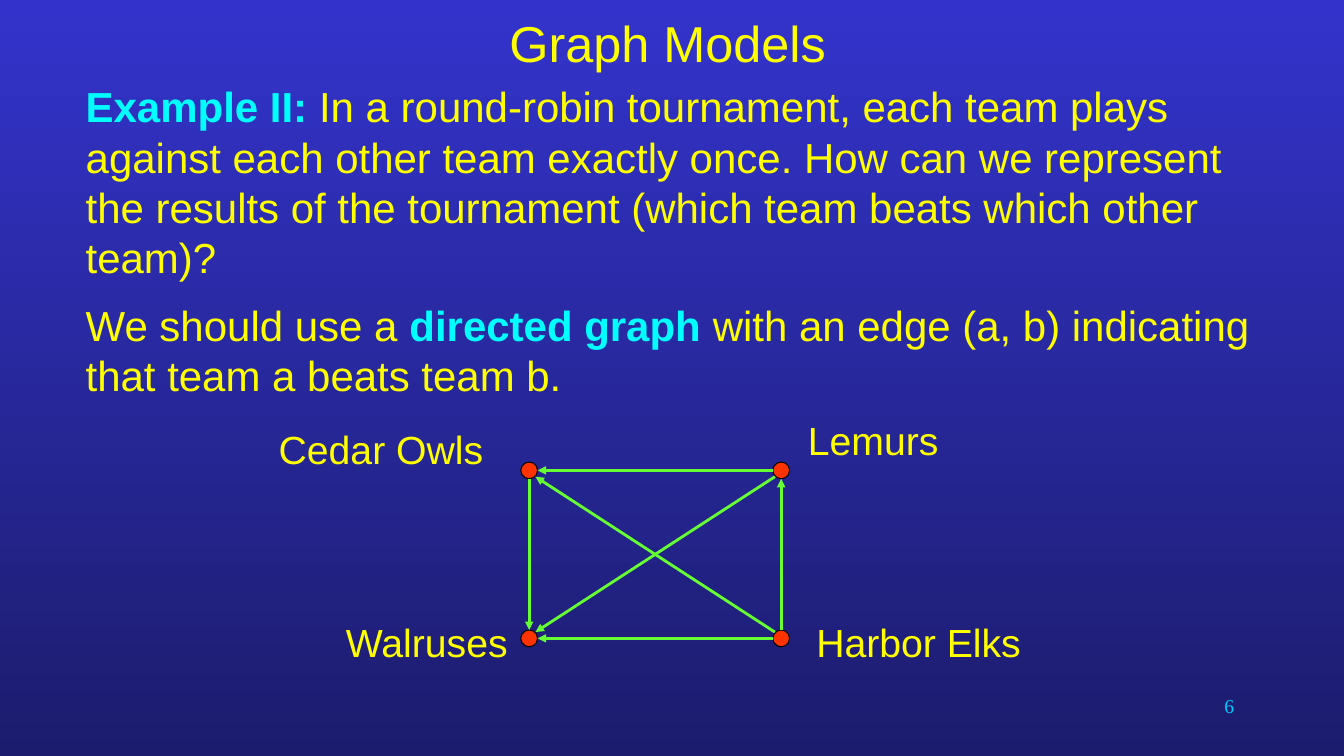
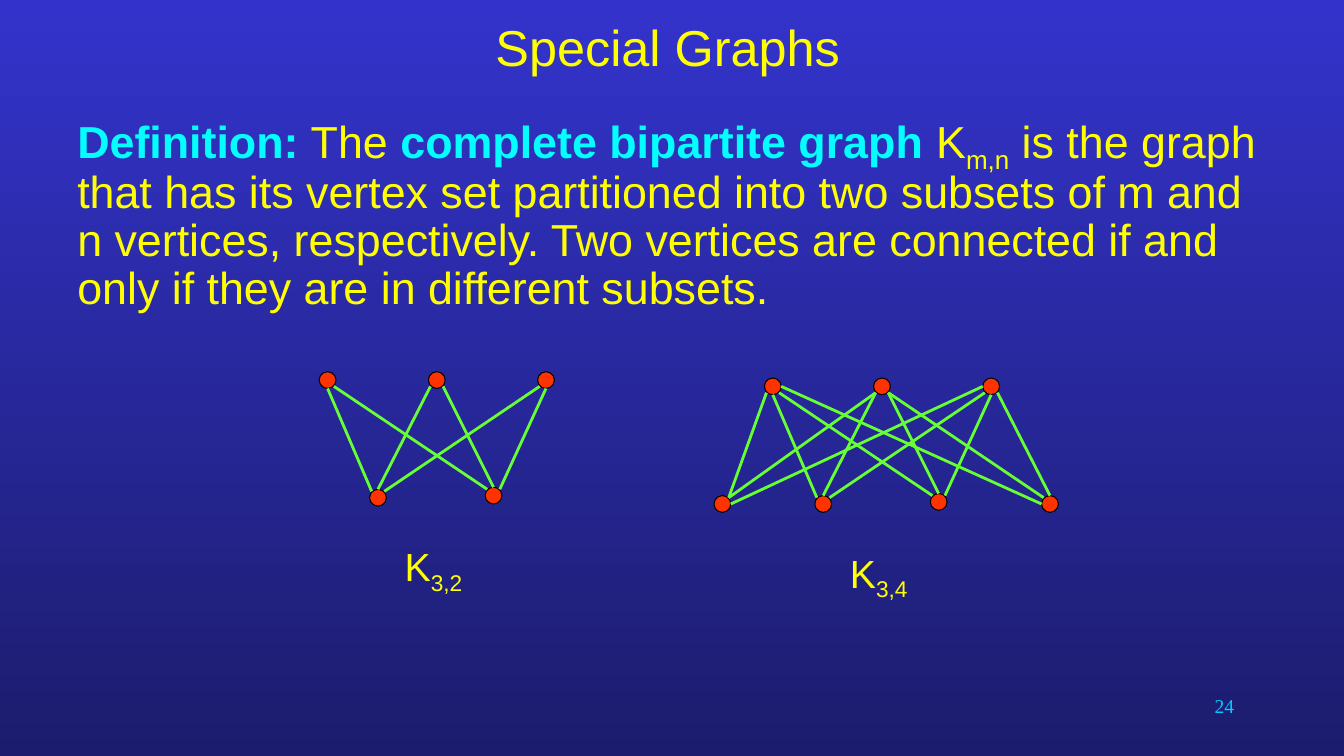
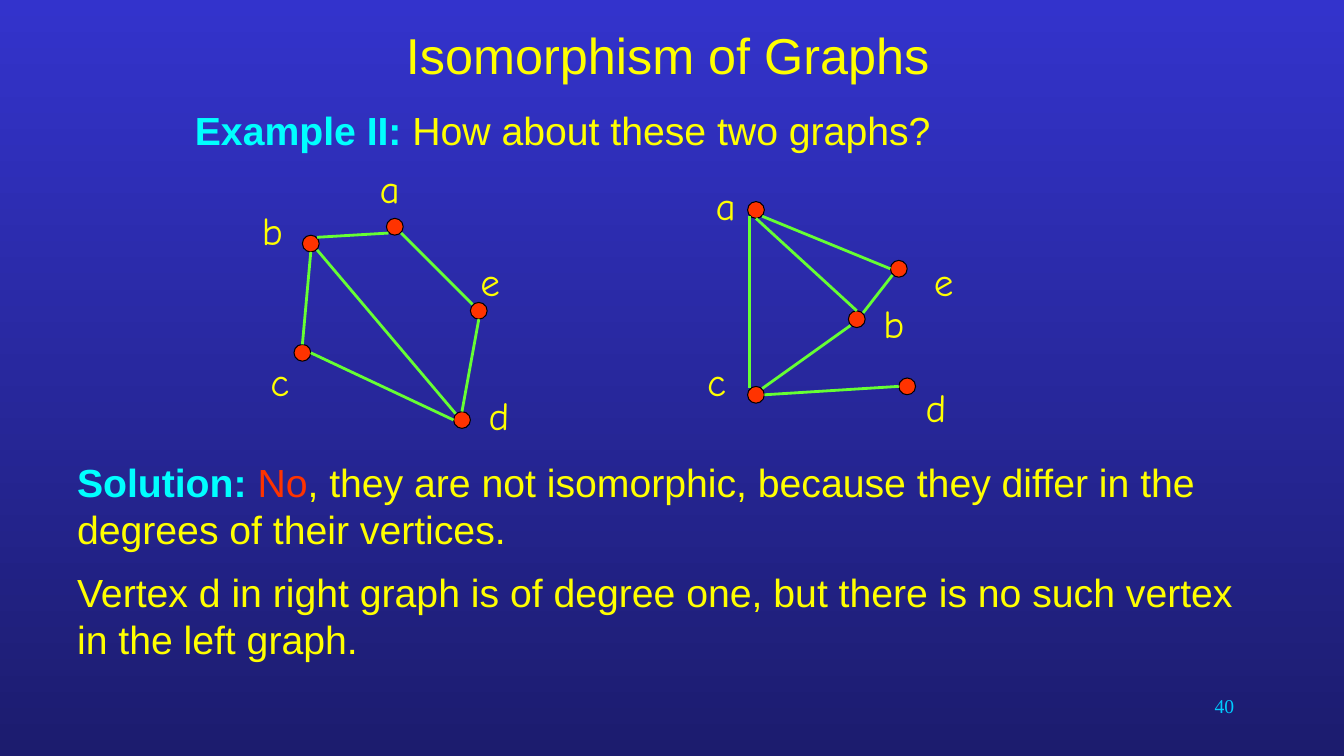
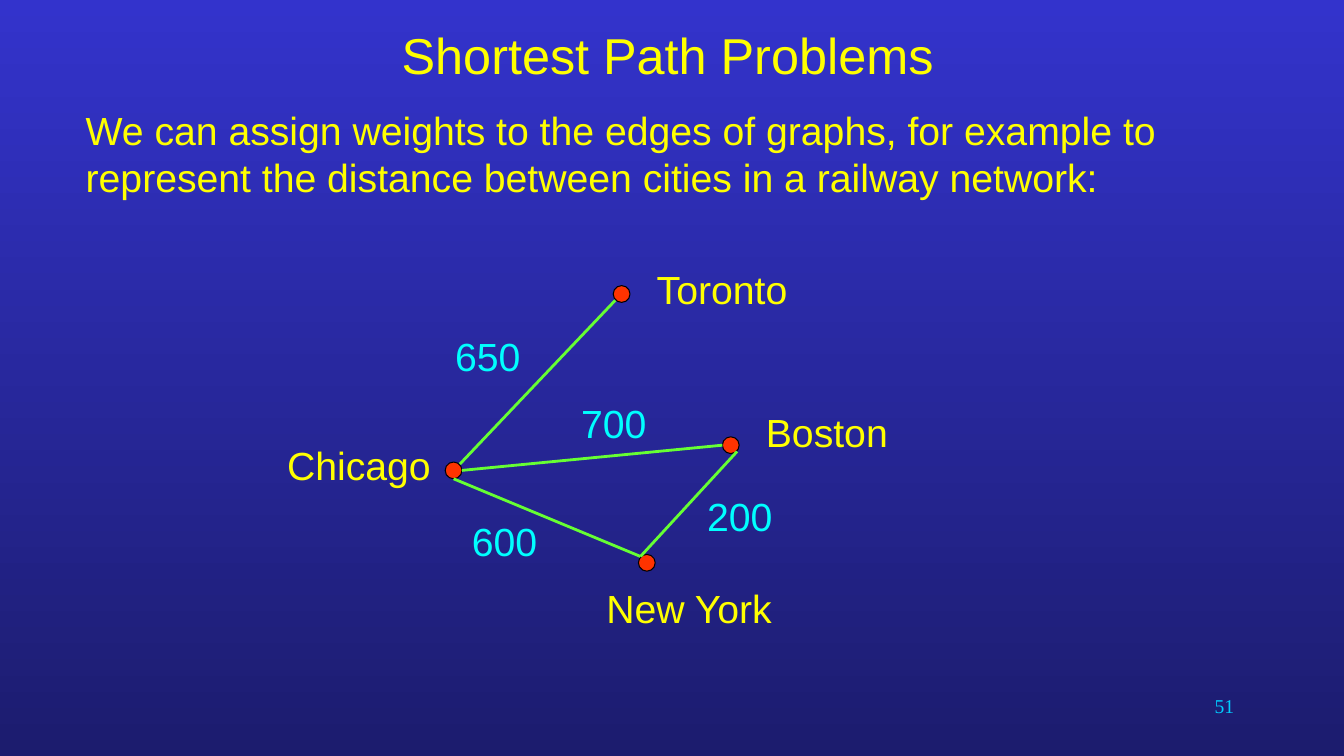
"""Build four slides on graph models, special graphs, isomorphism and shortest paths."""
from dataclasses import dataclass
from typing import NamedTuple

from lxml.etree import SubElement
from pptx import Presentation
from pptx.dml.color import RGBColor
from pptx.enum.shapes import MSO_CONNECTOR, MSO_SHAPE
from pptx.enum.text import MSO_ANCHOR, MSO_AUTO_SIZE, PP_ALIGN
from pptx.oxml.ns import qn
from pptx.slide import Slide
from pptx.text.text import Font, TextFrame
from pptx.util import Emu, Pt

LINE = MSO_CONNECTOR.STRAIGHT
DOT = MSO_SHAPE.FLOWCHART_CONNECTOR
MIDDLE, TOP = MSO_ANCHOR.MIDDLE, MSO_ANCHOR.TOP
LEFT, CENTER, RIGHT = PP_ALIGN.LEFT, PP_ALIGN.CENTER, PP_ALIGN.RIGHT
NO_FIT = MSO_AUTO_SIZE.NONE

SCALE = 9525
WIDTH, HEIGHT = 1280, 720
RADIUS, SLANT = 8, 6
LABEL_H = 55
LABEL_PT = 28
SANS, COMIC, SERIF = "Arial", "Comic Neue", "Times New Roman"

COLORS = {
    "sky": "3333CC",
    "night": "1C1C6E",
    "yellow": "FFFF00",
    "cyan": "00FFFF",
    "blue": "00CCFF",
    "red": "FF3300",
    "green": "66FF33",
    "black": "000000",
}

SIDES = {
    "N": (0, -RADIUS), "S": (0, RADIUS), "W": (-RADIUS, 0), "E": (RADIUS, 0),
    "NW": (-SLANT, -SLANT), "NE": (SLANT, -SLANT),
    "SW": (-SLANT, SLANT), "SE": (SLANT, SLANT),
}


class Box(NamedTuple):
    """A frame in px."""
    x: int
    y: int
    w: int
    h: int


class Run(NamedTuple):
    """A stretch of text in one style."""
    text: str
    color: str = "yellow"
    bold: bool = False
    sub: bool = False


class Edge(NamedTuple):
    """A line from one side of a dot to one side of another."""
    start: str
    out: str
    end: str
    into: str


class Label(NamedTuple):
    """A short text beside a graph."""
    text: str
    x: int
    y: int
    w: int
    color: str = "yellow"
    sub: str = ""


@dataclass(frozen=True)
class Graph:
    """Dots by name, the edges between them and their labels."""
    dots: dict[str, tuple[int, int]]
    edges: list[Edge]
    labels: list[Label]
    font: str = SANS
    arrows: bool = False


@dataclass(frozen=True)
class Block:
    """Body paragraphs in a frame."""
    box: Box
    size: int
    paras: list[list[Run]]
    spacing: float = 1.0


@dataclass(frozen=True)
class Page:
    """All that one slide shows."""
    title: str
    title_h: int
    number: int
    body: Block
    graphs: list[Graph]
    note: Block | None = None


def px(value: int) -> Emu:
    """Turn px into EMU."""
    return Emu(value * SCALE)


def rgb(name: str) -> RGBColor:
    """Look up a colour."""
    return RGBColor.from_string(COLORS[name])


def style(font: Font, face: str, size: int, color: str, bold: bool = False) -> None:
    """Set face, size, colour and weight."""
    font.name, font.size, font.bold = face, Pt(size), bold
    font.color.rgb = rgb(color)


def place(shape, box: Box) -> None:
    """Move and size a shape."""
    shape.left, shape.top, shape.width, shape.height = map(px, box)


def add_box(slide: Slide, box: Box) -> TextFrame:
    """Add a text box that wraps."""
    frame = slide.shapes.add_textbox(*map(px, box)).text_frame
    frame.word_wrap = True
    return frame


def add_runs(para, runs: list[Run], face: str, size: int) -> None:
    """Add styled runs to a paragraph."""
    for item in runs:
        run = para.add_run()
        run.text = item.text
        style(run.font, face, size, item.color, item.bold)
        if item.sub:
            run._r.get_or_add_rPr().set("baseline", "-25000")


def add_line(slide: Slide, text: str, box: Box, face: str, size: int, color: str,
             align: PP_ALIGN) -> None:
    """Add a one-line text box."""
    para = add_box(slide, box).paragraphs[0]
    para.text, para.alignment = text, align
    style(para.runs[0].font, face, size, color)


def set_title(slide: Slide, text: str, height: int) -> None:
    """Fill the title placeholder."""
    title = slide.shapes.title
    place(title, Box(184, 0, 904, height))
    frame = title.text_frame
    frame.text = text
    frame.auto_size, frame.vertical_anchor = NO_FIT, MIDDLE
    para = frame.paragraphs[0]
    para.alignment = CENTER
    style(para.runs[0].font, SANS, 36, "yellow")


def fill_block(frame: TextFrame, block: Block) -> None:
    """Write plain paragraphs without bullets."""
    frame.auto_size, frame.vertical_anchor = NO_FIT, TOP
    gap = Pt(block.size * 0.2)
    for index, runs in enumerate(block.paras):
        para = frame.add_paragraph() if index else frame.paragraphs[0]
        props = para._p.get_or_add_pPr()
        props.set("marL", "0")
        props.set("indent", "0")
        SubElement(props, qn("a:buNone"))
        para.alignment = LEFT
        para.line_spacing = block.spacing
        para.space_before = gap if index else Pt(0)
        para.space_after = gap
        add_runs(para, runs, SANS, block.size)


def add_dot(slide: Slide, x: int, y: int) -> None:
    """Draw a dot around its centre."""
    box = Box(x - RADIUS, y - RADIUS, 2 * RADIUS, 2 * RADIUS)
    dot = slide.shapes.add_shape(DOT, *map(px, box))
    dot.shadow.inherit = False
    dot.fill.solid()
    dot.fill.fore_color.rgb = rgb("red")
    dot.line.color.rgb = rgb("black")
    dot.line.width = Pt(0.75)


def add_edge(slide: Slide, graph: Graph, edge: Edge) -> None:
    """Draw one edge of a graph."""
    ends = []
    for name, side in ((edge.start, edge.out), (edge.end, edge.into)):
        ends += [px(a + b) for a, b in zip(graph.dots[name], SIDES[side])]
    link = slide.shapes.add_connector(LINE, *ends)
    link.line.color.rgb = rgb("green")
    link.line.width = Pt(2)
    if graph.arrows:
        SubElement(link.line._get_or_add_ln(), qn("a:tailEnd"), type="triangle")
    SubElement(link._element.spPr, qn("a:effectLst"))


def add_label(slide: Slide, label: Label, face: str) -> None:
    """Write a label with its subscript, if any."""
    frame = add_box(slide, Box(label.x, label.y, label.w, LABEL_H))
    runs = [Run(label.text, label.color)]
    if label.sub:
        runs.append(Run(label.sub, label.color, sub=True))
    add_runs(frame.paragraphs[0], runs, face, LABEL_PT)


def add_graph(slide: Slide, graph: Graph) -> None:
    """Draw dots, edges and labels."""
    for x, y in graph.dots.values():
        add_dot(slide, x, y)
    for edge in graph.edges:
        add_edge(slide, graph, edge)
    for label in graph.labels:
        add_label(slide, label, graph.font)


def add_page(deck, page: Page) -> None:
    """Build one slide."""
    slide = deck.slides.add_slide(deck.slide_layouts[1])
    set_title(slide, page.title, page.title_h)
    body = slide.placeholders[1]
    place(body, page.body.box)
    fill_block(body.text_frame, page.body)
    add_line(slide, str(page.number), Box(918, 656, 267, 48), SERIF, 14, "blue", RIGHT)
    for graph in page.graphs:
        add_graph(slide, graph)
    if page.note:
        fill_block(add_box(slide, page.note.box), page.note)


def set_back(deck) -> None:
    """Give the master its gradient."""
    fill = deck.slide_master.background.fill
    fill.gradient()
    fill.gradient_angle = 270
    for stop, name in zip(fill.gradient_stops, ("sky", "night")):
        stop.color.rgb = rgb(name)


def key(text: str) -> Run:
    """Mark a key term."""
    return Run(text, "cyan", True)


def core_dots(x: int, y: int) -> dict[str, tuple[int, int]]:
    """Place the five dots that both bipartite graphs share."""
    dots = {f"u{i + 1}": (x + 104 * i, y) for i in range(3)}
    return dots | {"v1": (x + 48, y + 112), "v2": (x + 158, y + 110)}


CORE = [
    Edge("u1", "S", "v1", "NW"), Edge("u2", "SW", "v1", "N"),
    Edge("v2", "NE", "u3", "S"), Edge("u3", "SW", "v1", "NE"),
    Edge("u1", "SE", "v2", "NW"), Edge("u2", "SE", "v2", "N"),
]
OUTER = [
    Edge("w1", "NE", "u1", "SW"), Edge("w1", "NE", "u2", "SW"),
    Edge("w1", "E", "u3", "W"), Edge("u1", "E", "w2", "W"),
    Edge("u2", "SE", "w2", "NW"), Edge("w2", "N", "u3", "SE"),
]

TEAMS = Graph(
    {"owls": (504, 448), "lemurs": (744, 448), "walrus": (504, 608), "stars": (744, 608)},
    [
        Edge("owls", "S", "walrus", "N"), Edge("lemurs", "W", "owls", "E"),
        Edge("lemurs", "SW", "walrus", "NE"), Edge("stars", "W", "walrus", "E"),
        Edge("stars", "NW", "owls", "SE"), Edge("stars", "N", "lemurs", "S"),
    ],
    [
        Label("Cedar Owls", 256, 400, 248), Label("Lemurs", 760, 392, 168),
        Label("Walruses", 320, 584, 176), Label("Harbor Elks", 768, 584, 288),
    ],
    arrows=True,
)

SMALL = Graph(core_dots(312, 362), CORE, [Label("K", 376, 512, 90, sub="3,2")])
LARGE = Graph(
    core_dots(736, 368) | {"w1": (688, 480), "w2": (1000, 480)},
    CORE + OUTER,
    [Label("K", 800, 518, 90, sub="3,4")],
)

FIRST = Graph(
    {"a": (376, 216), "b": (296, 232), "c": (288, 336), "d": (440, 400), "e": (456, 296)},
    [
        Edge("d", "N", "e", "S"), Edge("d", "W", "c", "E"), Edge("c", "N", "b", "S"),
        Edge("b", "NE", "a", "SW"), Edge("a", "SE", "e", "NW"), Edge("b", "SE", "d", "NW"),
    ],
    [
        Label("a", 352, 152, 64), Label("b", 240, 192, 32), Label("c", 248, 336, 40),
        Label("d", 456, 368, 64), Label("e", 448, 240, 64),
    ],
    COMIC,
)
SECOND = Graph(
    {"a": (720, 200), "b": (816, 304), "c": (720, 376), "d": (864, 368), "e": (856, 256)},
    [
        Edge("c", "E", "d", "W"), Edge("c", "NE", "b", "SW"), Edge("b", "N", "a", "S"),
        Edge("a", "SE", "e", "W"), Edge("e", "SW", "b", "NE"), Edge("a", "SW", "c", "NW"),
    ],
    [
        Label("a", 672, 168, 64), Label("b", 832, 280, 32), Label("c", 664, 336, 40),
        Label("d", 872, 360, 64), Label("e", 880, 240, 64),
    ],
    COMIC,
)

RAIL = Graph(
    {"chi": (432, 448), "tor": (592, 280), "bos": (696, 424), "york": (616, 536)},
    [
        Edge("tor", "SW", "chi", "NE"), Edge("chi", "S", "york", "NW"),
        Edge("bos", "SE", "york", "NW"), Edge("chi", "E", "bos", "W"),
    ],
    [
        Label("Chicago", 264, 416, 160), Label("Toronto", 616, 248, 160),
        Label("New York", 568, 552, 224), Label("Boston", 720, 384, 160),
        Label("600", 440, 488, 104, "cyan"), Label("700", 544, 376, 104, "cyan"),
        Label("200", 664, 464, 104, "cyan"), Label("650", 424, 312, 104, "cyan"),
    ],
)

PAGES = [
    Page("Graph Models", 80, 6, Block(Box(72, 72, 1144, 304), 30, [
        [key("Example II: "),
         Run("In a round-robin tournament, each team plays against each other team exactly "
             "once. How can we represent the results of the tournament (which team beats "
             "which other team)?")],
        [Run("We should use a "), key("directed graph"),
         Run(" with an edge (a, b) indicating that team a beats team b.")],
    ]), [TEAMS]),
    Page("Special Graphs", 88, 24, Block(Box(64, 104, 1152, 224), 32, [
        [key("Definition:"), Run(" The "), key("complete bipartite graph "), Run("K"),
         Run("m,n", sub=True),
         Run(" is the graph that has its vertex set partitioned into two subsets of m and n "
             "vertices, respectively. Two vertices are connected if and only if they are in "
             "different subsets.")],
    ], 0.9), [SMALL, LARGE]),
    Page("Isomorphism of Graphs", 104, 40, Block(Box(176, 96, 928, 56), 28, [
        [key("Example II:"), Run(" How about these two graphs?")],
    ]), [FIRST, SECOND], Block(Box(64, 432, 1152, 192), 28, [
        [key("Solution: "), Run("No", "red"),
         Run(", they are not isomorphic, because they differ in the degrees of their "
             "vertices.")],
        [Run("Vertex d in right graph is of degree one, but there is no such vertex in the "
             "left graph.")],
    ])),
    Page("Shortest Path Problems", 104, 51, Block(Box(72, 96, 1160, 216), 28, [
        [Run("We can assign weights to the edges of graphs, for example to represent the "
             "distance between cities in a railway network:")],
    ]), [RAIL]),
]


def main() -> None:
    """Build and save the deck."""
    deck = Presentation()
    deck.slide_width, deck.slide_height = px(WIDTH), px(HEIGHT)
    set_back(deck)
    for page in PAGES:
        add_page(deck, page)
    deck.save("out.pptx")


if __name__ == "__main__":
    main()
